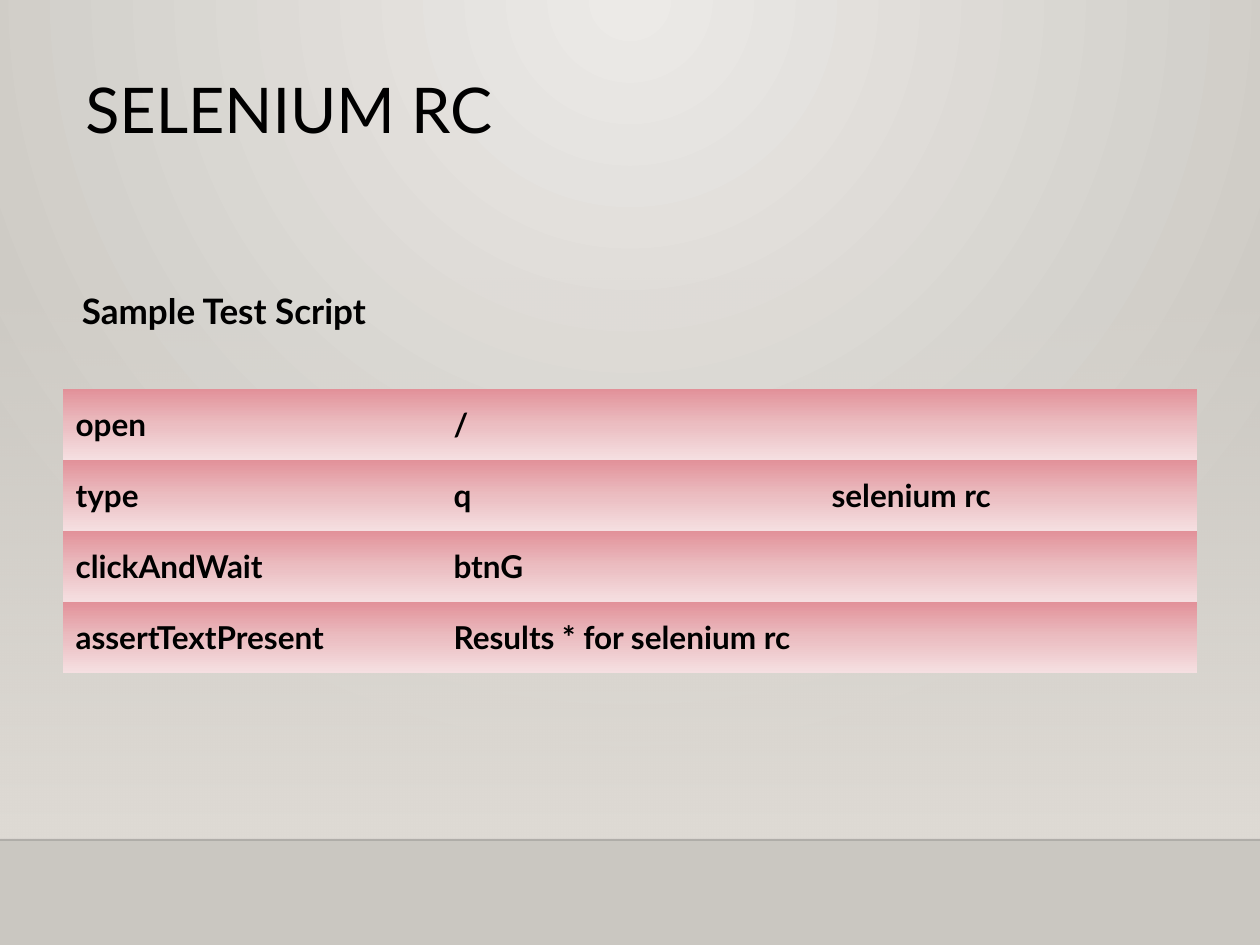
from lxml import etree
from pptx import Presentation
from pptx.dml.color import RGBColor
from pptx.enum import shapes, text
from pptx.oxml import ns, parse_xml
from pptx.util import Cm, Pt

# Content
TITLE = "SELENIUM RC"
SUBTITLE = "Sample Test Script"
STEPS = [
    ("open", "/", ""),
    ("type", "q", "selenium rc"),
    ("clickAndWait", "btnG", ""),
    ("assertTextPresent", "Results * for selenium rc", ""),
]

# Look: gradient stops are (position %, colour, opacity %)
FONT = "Lato"
COLORS = {"text": "000000", "rule": "000001"}
BACKDROP = [(0, "ECEAE7", 100), (100, "CAC7C1", 100)]
HAZE = [(0, "DFDBD5", 0), (100, "DFDBD5", 100)]
ROW_FILL = [(0, "E29199", 100), (50, "EBBDC1", 100), (100, "F5DFE1", 100)]
DOWNWARD = '<a:lin ang="5400000" scaled="0"/>'
FROM_TOP = ('<a:path path="circle">'
            '<a:fillToRect l="43000" t="0" r="43000" b="100000"/></a:path>')
NO_TABLE_STYLE = "{2D5ABB26-0587-4C30-8999-92F81FD0307C}"

# Measures in cm
WIDTH, HEIGHT = 25.4, 19.05
HAZE_TOP, FLOOR = 5.59, 16.93
TABLE_LEFT, TABLE_TOP = 1.27, 7.84
COLUMN_WIDTH, ROW_HEIGHT = 7.62, 1.43


def set_gradient(fill, element, stops, direction):
    """Replace the fill of an element with a gradient."""
    fill.solid()
    marks = "".join(
        f'<a:gs pos="{pos * 1000}"><a:srgbClr val="{color}">'
        f'<a:alpha val="{opacity * 1000}"/></a:srgbClr></a:gs>'
        for pos, color, opacity in stops)
    solid = element.find(".//" + ns.qn("a:solidFill"))
    solid.getparent().replace(solid, parse_xml(
        f'<a:gradFill {ns.nsdecls("a")} rotWithShape="1">'
        f"<a:gsLst>{marks}</a:gsLst>{direction}</a:gradFill>"))


def write(frame, words, size, bold=False):
    frame.text = words
    for span in frame.paragraphs[0].runs:
        span.font.name = FONT
        span.font.size = Pt(size)
        span.font.bold = bold
        span.font.color.rgb = RGBColor.from_string(COLORS["text"])


def add_text(page, words, place, size, bold=False):
    box = page.shapes.add_textbox(*map(Cm, place))
    box.text_frame.word_wrap = True
    write(box.text_frame, words, size, bold)
    return box


deck = Presentation()
deck.slide_width, deck.slide_height = Cm(WIDTH), Cm(HEIGHT)
page = deck.slides.add_slide(deck.slide_layouts[6])

# Background, haze and floor line
set_gradient(page.background.fill, page.element, BACKDROP, FROM_TOP)
haze = page.shapes.add_shape(shapes.MSO_SHAPE.RECTANGLE, 0, Cm(HAZE_TOP),
                             Cm(WIDTH), Cm(FLOOR - HAZE_TOP))
haze.shadow.inherit = False
set_gradient(haze.fill, haze.element, HAZE, DOWNWARD)
haze.line.fill.background()

rule = page.shapes.add_connector(shapes.MSO_CONNECTOR.STRAIGHT,
                                 0, Cm(FLOOR), Cm(WIDTH), Cm(FLOOR))
rule.line.width = Pt(1)
rule.line.color.rgb = RGBColor.from_string(COLORS["rule"])
rule_color = rule.element.spPr.find(".//" + ns.qn("a:srgbClr"))
etree.SubElement(rule_color, ns.qn("a:alpha"), val="20000")
etree.SubElement(rule.element.spPr, ns.qn("a:effectLst"))

# Table of test steps
columns = len(STEPS[0])
holder = page.shapes.add_table(
    len(STEPS), columns, Cm(TABLE_LEFT), Cm(TABLE_TOP),
    Cm(columns * COLUMN_WIDTH), Cm(len(STEPS) * ROW_HEIGHT))
table = holder.table
table.first_row = table.horz_banding = False
holder.element.find(".//" + ns.qn("a:tableStyleId")).text = NO_TABLE_STYLE
for row, step in zip(table.rows, STEPS):
    row.height = Cm(ROW_HEIGHT)
    for cell, words in zip(row.cells, step):
        set_gradient(cell.fill, cell._tc, ROW_FILL, DOWNWARD)
        cell.vertical_anchor = text.MSO_ANCHOR.MIDDLE
        if words:
            write(cell.text_frame, words, 18, bold=True)

# Headings
title = add_text(page, TITLE, (1.47, 1.47, 18.26, 2.34), 36)
title.text_frame.paragraphs[0].line_spacing = 0.9
subtitle = add_text(page, SUBTITLE, (1.4, 5.72, 10.36, 1.12), 20, bold=True)
subtitle.text_frame.auto_size = text.MSO_AUTO_SIZE.SHAPE_TO_FIT_TEXT

deck.save("out.pptx")
